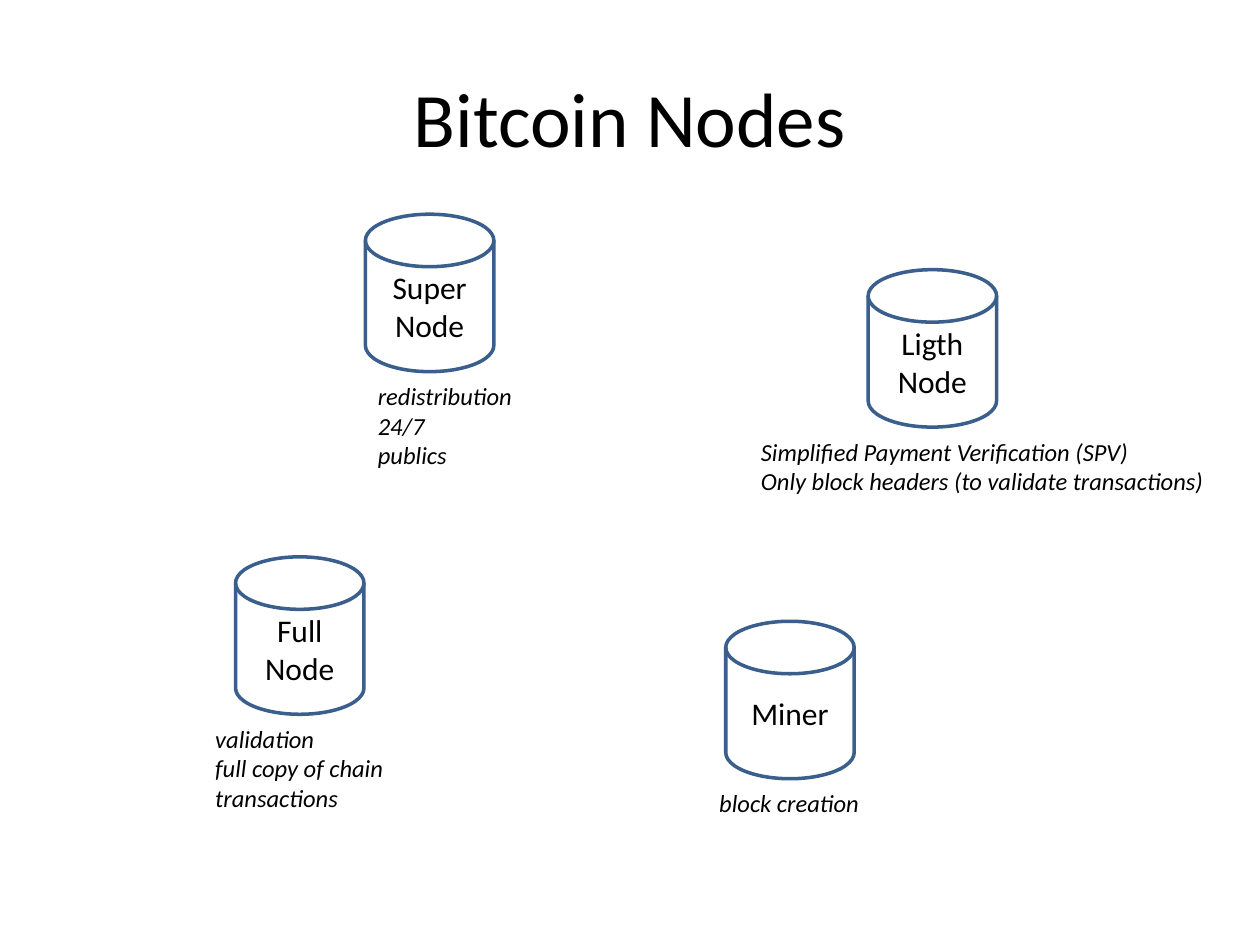
from pptx import Presentation
from pptx.dml.color import RGBColor
from pptx.enum.shapes import MSO_SHAPE as Shape
from pptx.enum.text import MSO_ANCHOR as Anchor, MSO_AUTO_SIZE as Fit, PP_ALIGN as Align
from pptx.util import Pt

BLACK = RGBColor(0x00, 0x00, 0x00)
BLUE = RGBColor(0x3A, 0x5F, 0x8C)
DISK_W, DISK_H = 73.4, 90
GAP = 2

NODES = [
    ((134.6, 318.2), ["Full Node"], (115.9, 111.6),
     ["validation", "full copy of chain", "transactions"]),
    ((208.8, 122.4), ["Super", "Node"], (208.8, 92.2),
     ["redistribution", "24/7", "publics"]),
    ((496.1, 154.1), ["Ligth", "Node"], (427.7, 270),
     ["Simplified Payment Verification (SPV)",
      "Only block headers (to validate transactions)"]),
    ((414.7, 355), ["Miner"], (403.9, 95),
     ["block creation"]),
]


def write(frame, lines, size, align, italic=False):
    """Fill a text frame with one paragraph per line."""
    for i, line in enumerate(lines):
        para = frame.paragraphs[0] if i == 0 else frame.add_paragraph()
        para.alignment = align
        run = para.add_run()
        run.text = line
        font = run.font
        font.name, font.size, font.italic = "Calibri", Pt(size), italic
        font.color.rgb = BLACK


def add_title(slide, text, box):
    """Place the title in the given box."""
    title = slide.shapes.title
    title.left, title.top, title.width, title.height = map(Pt, box)
    title.text_frame.vertical_anchor = Anchor.MIDDLE
    write(title.text_frame, [text], 44, Align.CENTER)


def add_disk(slide, label, box):
    """Draw an outlined disk with a centred label in the given box."""
    disk = slide.shapes.add_shape(Shape.FLOWCHART_MAGNETIC_DISK, *map(Pt, box))
    disk.shadow.inherit = False
    disk.fill.background()
    disk.line.color.rgb = BLUE
    disk.line.width = Pt(2)
    disk.text_frame.vertical_anchor = Anchor.MIDDLE
    write(disk.text_frame, label, 18, Align.CENTER)


def add_note(slide, lines, box):
    """Place the italic notes of a node in the given box."""
    frame = slide.shapes.add_textbox(*map(Pt, box)).text_frame
    frame.word_wrap = False
    frame.auto_size = Fit.SHAPE_TO_FIT_TEXT
    write(frame, lines, 14, Align.LEFT, True)


def main():
    """Build the slide and save it."""
    deck = Presentation()
    deck.slide_width, deck.slide_height = Pt(720), Pt(540)
    slide = deck.slides.add_slide(deck.slide_layouts[5])
    add_title(slide, "Bitcoin Nodes", (36, 21.6, 648, 90))
    for (left, top), label, (start, width), notes in NODES:
        add_disk(slide, label, (left, top, DISK_W, DISK_H))
        tall = 7.2 + 17 * len(notes)
        add_note(slide, notes, (start, top + DISK_H + GAP, width, tall))
    deck.save("out.pptx")


if __name__ == "__main__":
    main()
